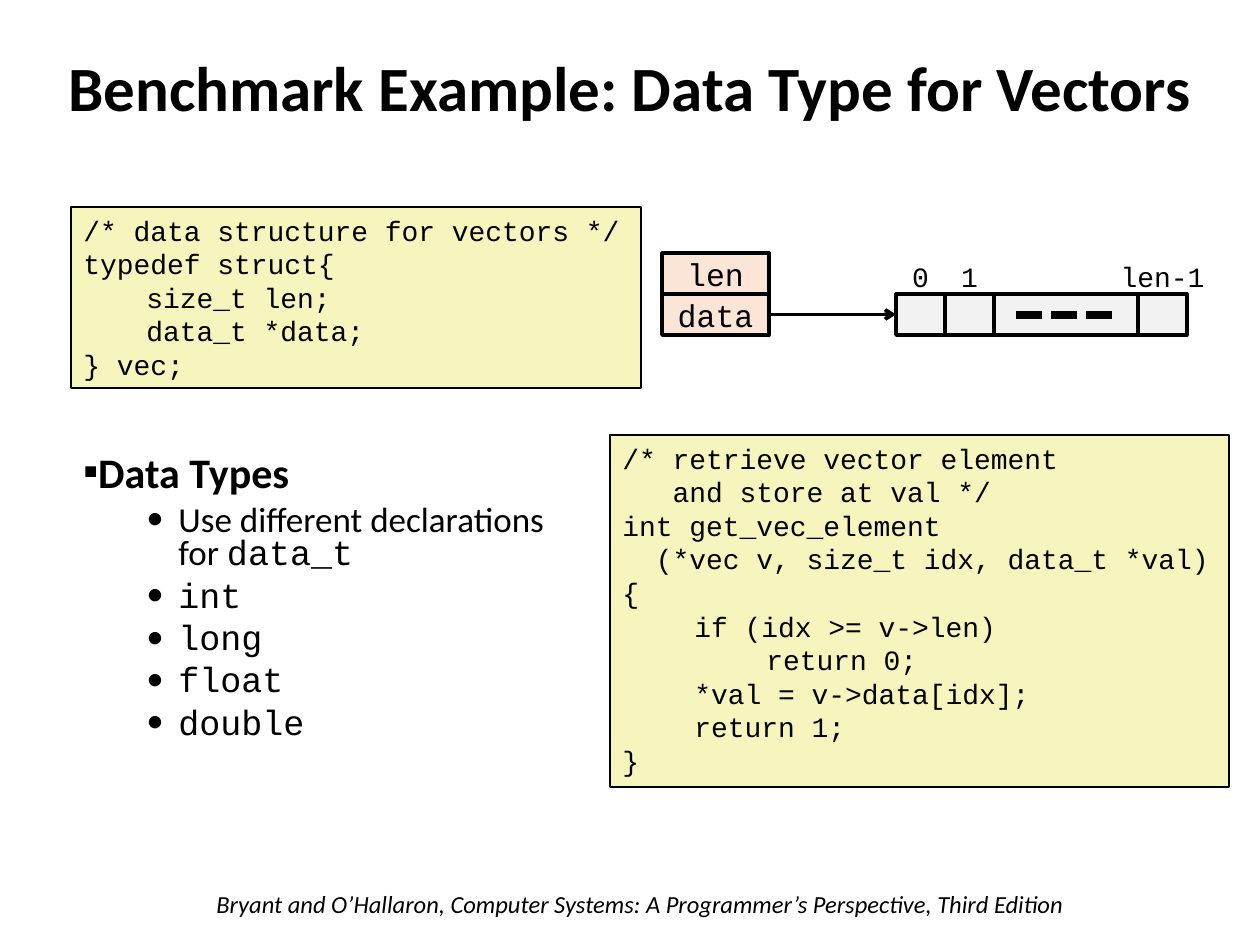
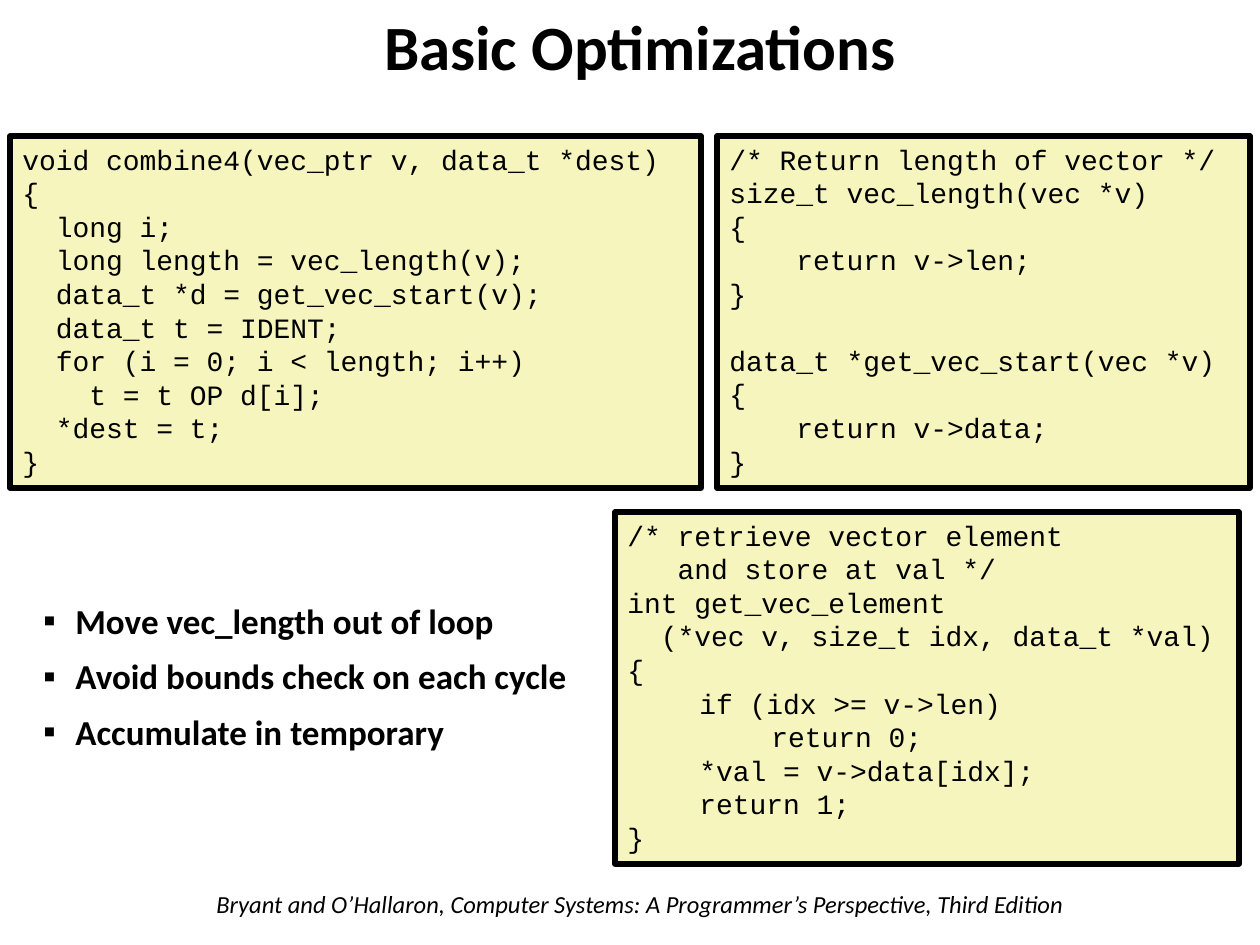
from dataclasses import dataclass

from lxml import etree
from pptx import Presentation
from pptx.dml.color import RGBColor
from pptx.enum.dml import MSO_LINE
from pptx.enum.shapes import MSO_CONNECTOR, MSO_SHAPE
from pptx.enum.text import MSO_ANCHOR, MSO_AUTO_SIZE, PP_ALIGN
from pptx.oxml.ns import qn
from pptx.util import Emu, Pt

RECTANGLE = MSO_SHAPE.RECTANGLE
STRAIGHT = MSO_CONNECTOR.STRAIGHT
SQUARE_DOT = MSO_LINE.SQUARE_DOT
LEFT, CENTER = PP_ALIGN.LEFT, PP_ALIGN.CENTER
TOP, MIDDLE = MSO_ANCHOR.TOP, MSO_ANCHOR.MIDDLE
NO_FIT = MSO_AUTO_SIZE.NONE
LEFT_SIDE, RIGHT_SIDE = 1, 3
TITLE_ONLY = 5
EMU_PER_PIXEL = 914400 / 126


@dataclass(frozen=True)
class Theme:
    """Colours, fonts and type sizes shared by the slides."""

    ink: str = "000000"
    code_fill: str = "F6F5BD"
    field_fill: str = "FBE5D6"
    cell_fill: str = "F2F2F2"
    sans: str = "Calibri"
    mono: str = "Courier New"
    title: int = 36
    heading: int = 24
    body: int = 20
    field: int = 18
    code: int = 16
    footer: int = 14


THEME = Theme()
FOOTER = "Bryant and O’Hallaron, Computer Systems: A Programmer’s Perspective, Third Edition"

VECTOR_STRUCT = """/* data structure for vectors */
typedef struct{
\tsize_t len;
\tdata_t *data;
} vec;"""

GET_ELEMENT = """/* retrieve vector element
   and store at val */
int get_vec_element
  (*vec v, size_t idx, data_t *val)
{
\tif (idx >= v->len)
\t\treturn 0;
\t*val = v->data[idx];
\treturn 1;
}"""

COMBINE = """void combine4(vec_ptr v, data_t *dest)
{
  long i;
  long length = vec_length(v);
  data_t *d = get_vec_start(v);
  data_t t = IDENT;
  for (i = 0; i < length; i++)
    t = t OP d[i];
  *dest = t;
}"""

VECTOR_ACCESS = """/* Return length of vector */
size_t vec_length(vec *v)
{
    return v->len;
}

data_t *get_vec_start(vec *v)
{
    return v->data;
}"""


def px(*lengths):
    """Turn pixel lengths into a list of EMU lengths."""
    return [Emu(round(length * EMU_PER_PIXEL)) for length in lengths]


def add_run(paragraph, text, size, font=THEME.sans, bold=False, italic=False):
    """Append a formatted run to a paragraph."""
    run = paragraph.add_run()
    run.text = text
    run.font.size = Pt(size)
    run.font.name = font
    run.font.bold = bold
    run.font.italic = italic
    run.font.color.rgb = RGBColor.from_string(THEME.ink)


def add_paragraph(frame, text, align=LEFT, spacing=1.0, before=0, bullet=None,
                  margin=0, hanging=0, tabs=(), **run_format):
    """Fill the empty first paragraph or append one, and return it."""
    is_first = not frame.text
    paragraph = frame.paragraphs[0] if is_first else frame.add_paragraph()
    properties = paragraph._p.get_or_add_pPr()
    if bullet:
        left, indent = px(margin, -hanging)
        properties.set("marL", str(left))
        properties.set("indent", str(indent))
        etree.SubElement(properties, qn("a:buFont"), typeface=THEME.sans)
        etree.SubElement(properties, qn("a:buChar"), char=bullet)
    if tabs:
        tab_list = etree.SubElement(properties, qn("a:tabLst"))
        for position in px(*tabs):
            etree.SubElement(tab_list, qn("a:tab"), pos=str(position), algn="l")
    paragraph.alignment = align
    paragraph.line_spacing = spacing
    paragraph.space_before = Pt(0 if is_first else before)
    add_run(paragraph, text, **run_format)
    return paragraph


def prepare_frame(shape, anchor=TOP, wrap=True):
    """Set how a shape holds its text and return its frame."""
    frame = shape.text_frame
    frame.auto_size = NO_FIT
    frame.word_wrap = wrap
    frame.vertical_anchor = anchor
    return frame


def add_text_box(slide, box, wrap=True):
    """Add an empty text box and return its frame."""
    return prepare_frame(slide.shapes.add_textbox(*px(*box)), wrap=wrap)


def add_box(slide, box, fill, line_width):
    """Add a filled rectangle with a black outline."""
    shape = slide.shapes.add_shape(RECTANGLE, *px(*box))
    shape.shadow.inherit = False
    shape.fill.solid()
    shape.fill.fore_color.rgb = RGBColor.from_string(fill)
    shape.line.color.rgb = RGBColor.from_string(THEME.ink)
    shape.line.width = Pt(line_width)
    return shape


def add_line(slide, start, end, width):
    """Add a black straight connector without a shadow."""
    line = slide.shapes.add_connector(STRAIGHT, *px(*start, *end))
    line.line.color.rgb = RGBColor.from_string(THEME.ink)
    line.line.width = Pt(width)
    etree.SubElement(line.element.spPr, qn("a:effectLst"))
    return line


def add_code(slide, box, code, line_width, tabs=()):
    """Add a code panel, with a gap between blocks split by an empty line."""
    frame = prepare_frame(add_box(slide, box, THEME.code_fill, line_width))
    for block in code.split("\n\n"):
        for index, line in enumerate(block.split("\n")):
            add_paragraph(frame, line, tabs=tabs, before=0 if index else 19,
                          size=THEME.code, font=THEME.mono)


def add_field(slide, box, name):
    """Add a struct field with its centred name."""
    shape = add_box(slide, box, THEME.field_fill, 2)
    frame = prepare_frame(shape, MIDDLE, wrap=False)
    add_paragraph(frame, name, align=CENTER, size=THEME.field, font=THEME.mono)
    return shape


def add_vector_diagram(slide):
    """Draw the vec struct and the array that it points to."""
    row_top, row_height = 294, 41
    field_left, field_width = 662, 107
    add_field(slide, (field_left, row_top - row_height, field_width, row_height), "len")
    data = add_field(slide, (field_left, row_top, field_width, row_height), "data")

    left = array_left = 896
    cells = []
    for width, label in ((49, "0"), (49, "1"), (144, ""), (49, "len-1")):
        cells.append(add_box(slide, (left, row_top, width, row_height), THEME.cell_fill, 2))
        if label:
            label_width = 26 + 17 * len(label)
            label_left = left + (width - label_width) // 2
            frame = add_text_box(slide, (label_left, 253, label_width, 47), wrap=False)
            add_paragraph(frame, label, align=CENTER, size=THEME.code, font=THEME.mono)
        left += width

    middle = row_top + row_height // 2
    pointer = add_line(slide, (field_left + field_width, middle), (array_left, middle), 2)
    pointer.begin_connect(data, RIGHT_SIDE)
    pointer.end_connect(cells[0], LEFT_SIDE)
    etree.SubElement(pointer.line._get_or_add_ln(), qn("a:tailEnd"), type="arrow")
    dots = add_line(slide, (1016, 315), (1116, 315), 5)
    dots.line.dash_style = SQUARE_DOT


def add_layout_footer(slide):
    """Place the book reference on the layout that the slides share."""
    footer = slide.shapes.add_textbox(*px(204, 883, 895, 43))
    add_paragraph(prepare_frame(footer), FOOTER, size=THEME.footer, italic=True)
    slide.slide_layout.shapes.element.append(footer.element)


def add_titled_slide(presentation, title, box):
    """Add a slide with a formatted title placeholder."""
    slide = presentation.slides.add_slide(presentation.slide_layouts[TITLE_ONLY])
    shape = slide.shapes.title
    shape.left, shape.top, shape.width, shape.height = px(*box)
    add_paragraph(prepare_frame(shape, MIDDLE), title, align=CENTER, spacing=0.9,
                  size=THEME.title, bold=True)
    return slide


def build_data_type_slide(presentation):
    """Build the slide on the vector data type."""
    slide = add_titled_slide(presentation, "Benchmark Example: Data Type for Vectors",
                             (0, 0, 1260, 183))
    add_layout_footer(slide)
    add_code(slide, (71, 207, 570, 181), VECTOR_STRUCT, 1, tabs=(63,))
    add_code(slide, (610, 435, 619, 352), GET_ELEMENT, 1, tabs=(72, 144))
    add_vector_diagram(slide)
    frame = add_text_box(slide, (71, 450, 533, 306))
    add_paragraph(frame, "Data Types", bullet="▪", spacing=0.8,
                  size=THEME.heading, bold=True)
    item = {"bullet": "•", "margin": 95, "hanging": 32, "spacing": 0.8,
            "before": 5, "size": THEME.body}
    declarations = add_paragraph(frame, "Use different declarations for ", **item)
    add_run(declarations, "data_t", THEME.body, THEME.mono)
    for type_name in ("int", "long", "float", "double"):
        add_paragraph(frame, type_name, font=THEME.mono, **item)


def build_optimizations_slide(presentation):
    """Build the slide on basic optimizations."""
    slide = add_titled_slide(presentation, "Basic Optimizations", (10, -10, 1260, 121))
    frame = add_text_box(slide, (31, 598, 567, 253))
    for advice in ("Move vec_length out of loop",
                   "Avoid bounds check on each cycle",
                   "Accumulate in temporary"):
        add_paragraph(frame, advice, bullet="▪", margin=32, hanging=32, spacing=0.9,
                      before=10, size=THEME.body, bold=True)
    add_code(slide, (10, 136, 691, 352), COMBINE, 3)
    add_code(slide, (717, 136, 533, 352), VECTOR_ACCESS, 3)
    add_code(slide, (615, 512, 624, 352), GET_ELEMENT, 3, tabs=(72, 144))


def main():
    """Build and save the presentation."""
    presentation = Presentation()
    presentation.slide_width, presentation.slide_height = px(1260, 945)
    build_data_type_slide(presentation)
    build_optimizations_slide(presentation)
    presentation.save("out.pptx")


if __name__ == "__main__":
    main()
